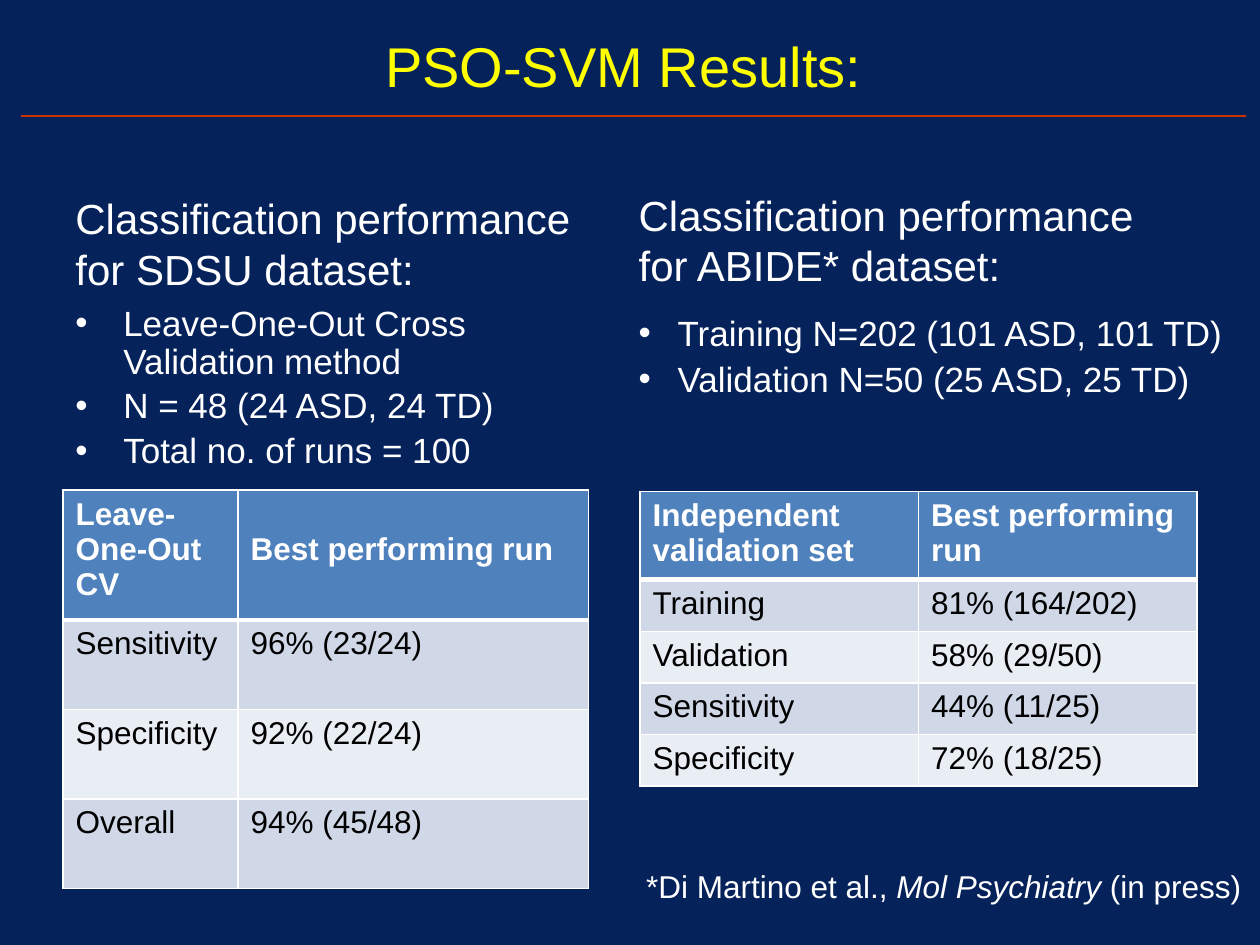
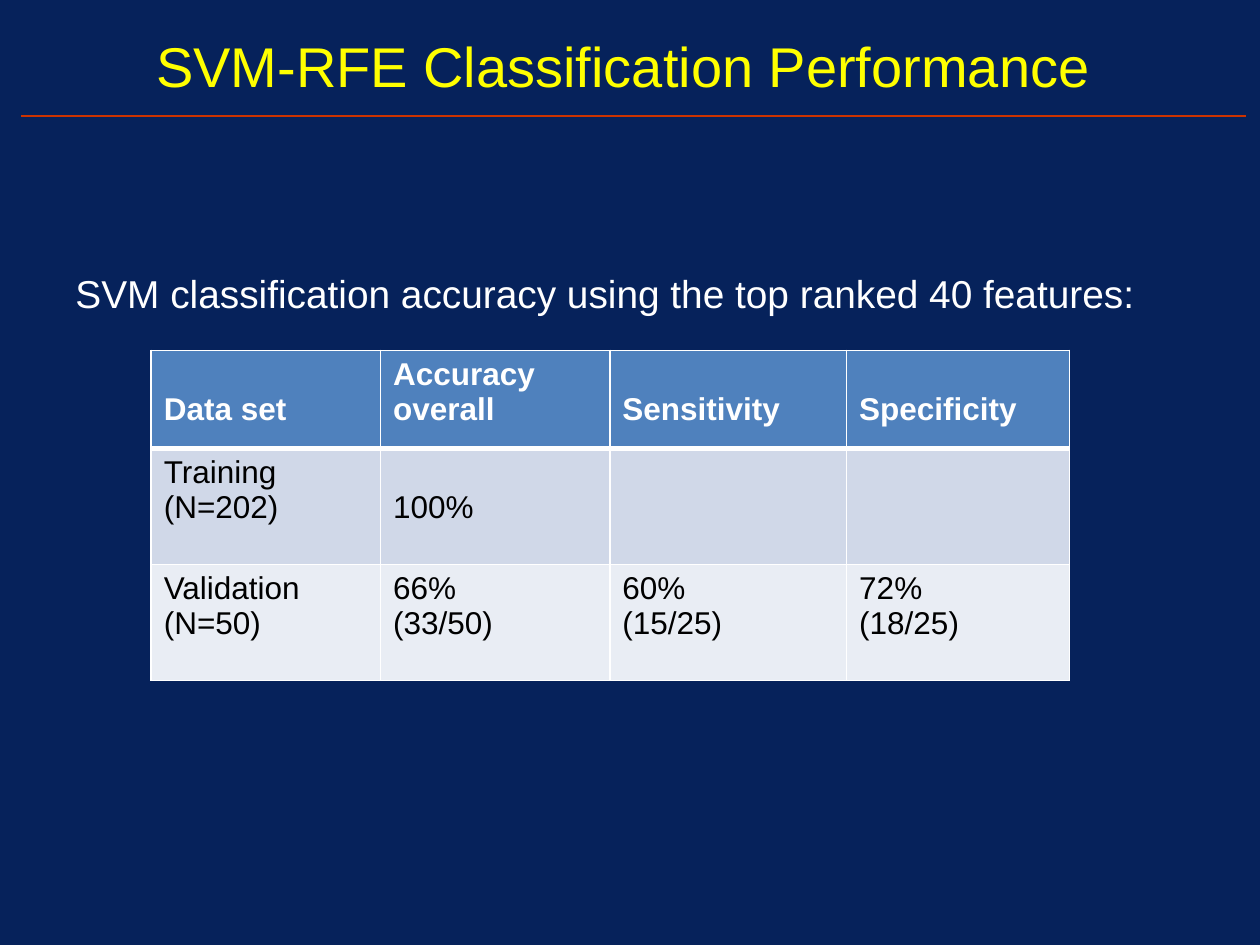
from dataclasses import dataclass

from lxml import etree
from pptx import Presentation
from pptx.dml.color import RGBColor
from pptx.enum.shapes import MSO_CONNECTOR
from pptx.enum.text import MSO_ANCHOR, MSO_AUTO_SIZE, PP_ALIGN
from pptx.oxml.ns import qn
from pptx.util import Inches, Pt


@dataclass(frozen=True)
class Theme:
    font: str = "Arial"
    background: str = "06225B"
    title: str = "FFFF00"
    text: str = "FFFFFF"
    rule: str = "CC3300"
    header: str = "4F81BD"
    bands: tuple = ("D0D8E8", "E9EDF4")
    cell_text: str = "000000"
    border: str = "FFFFFF"
    title_size: float = 32
    heading_size: float = 24
    lead_size: float = 22.2
    list_size: float = 20
    small_size: float = 18
    border_width: float = 1
    header_border_width: float = 3


def rgb(color):
    return RGBColor.from_string(color)


def set_bullet(paragraph, indent):
    properties = paragraph._p.get_or_add_pPr()
    properties.set("marL", str(Inches(indent)))
    properties.set("indent", str(-Inches(indent)))
    etree.SubElement(properties, qn("a:buFont"), typeface="Arial")
    etree.SubElement(properties, qn("a:buChar"), char="•")


class Deck:
    def __init__(self, theme):
        self.theme = theme
        self.presentation = Presentation()
        self.presentation.slide_width = Inches(10)
        self.presentation.slide_height = Inches(7.5)
        self.slide = None

    def add_slide(self, title):
        """Start a slide with the shared background, title and rule."""
        theme = self.theme
        blank = self.presentation.slide_layouts[6]
        self.slide = self.presentation.slides.add_slide(blank)
        fill = self.slide.background.fill
        fill.solid()
        fill.fore_color.rgb = rgb(theme.background)
        heading = self.add_text((0.24, 0.14, 9.54, 0.76), [title], theme.title_size,
                                color=theme.title, anchor=MSO_ANCHOR.MIDDLE)
        heading.paragraphs[0].alignment = PP_ALIGN.CENTER
        self.add_rule(0.17, 9.89, 0.92)

    def add_rule(self, left, right, y):
        rule = self.slide.shapes.add_connector(
            MSO_CONNECTOR.STRAIGHT, Inches(left), Inches(y), Inches(right), Inches(y))
        rule.line.color.rgb = rgb(self.theme.rule)
        rule.line.width = Pt(1)
        etree.SubElement(rule._element.spPr, qn("a:effectLst"))

    def format_runs(self, paragraph, size, color, bold=False):
        for run in paragraph.runs:
            run.font.name = self.theme.font
            run.font.size = Pt(size)
            run.font.bold = bold
            run.font.color.rgb = rgb(color)

    def add_text(self, box, lines, size, color=None, anchor=MSO_ANCHOR.TOP, wrap=True):
        frame = self.slide.shapes.add_textbox(*map(Inches, box)).text_frame
        frame.word_wrap = wrap
        frame.auto_size = MSO_AUTO_SIZE.NONE if wrap else MSO_AUTO_SIZE.SHAPE_TO_FIT_TEXT
        frame.vertical_anchor = anchor
        frame.text = "\n".join(lines)
        for paragraph in frame.paragraphs:
            self.format_runs(paragraph, size, color or self.theme.text)
        return frame

    def add_heading(self, box, text, size):
        self.add_text(box, [text], size, anchor=MSO_ANCHOR.BOTTOM)

    def add_list(self, box, items, indent, line_spacing, gap=0, wrap=True):
        frame = self.add_text(box, items, self.theme.list_size, wrap=wrap)
        for paragraph in frame.paragraphs:
            paragraph.line_spacing = line_spacing
            paragraph.space_before = Pt(gap)
            set_bullet(paragraph, indent)

    def add_citation(self, box, before, journal, after):
        frame = self.add_text(box, [before], self.theme.small_size, wrap=False)
        paragraph = frame.paragraphs[0]
        for part in (journal, after):
            paragraph.add_run().text = part
        self.format_runs(paragraph, self.theme.small_size, self.theme.text)
        paragraph.runs[1].font.italic = True

    def set_borders(self, cell, bottom_width):
        """Draw the four cell borders; they must precede the cell fill."""
        properties = cell._tc.get_or_add_tcPr()
        thin = self.theme.border_width
        widths = {"lnL": thin, "lnR": thin, "lnT": thin, "lnB": bottom_width}
        for position, (side, width) in enumerate(widths.items()):
            line = etree.Element(qn(f"a:{side}"), w=str(Pt(width)))
            fill = etree.SubElement(line, qn("a:solidFill"))
            etree.SubElement(fill, qn("a:srgbClr"), val=self.theme.border)
            properties.insert(position, line)

    def add_table(self, left, top, widths, heights, rows, lowered=()):
        """Add a banded table; lowered cells start one text line further down."""
        theme = self.theme
        table = self.slide.shapes.add_table(
            len(rows), len(widths), Inches(left), Inches(top),
            Inches(sum(widths)), Inches(sum(heights))).table
        for column, width in zip(table.columns, widths):
            column.width = Inches(width)
        for r, (values, height) in enumerate(zip(rows, heights)):
            table.rows[r].height = Inches(height)
            is_header = r == 0
            background = theme.header if is_header else theme.bands[(r - 1) % 2]
            color = theme.text if is_header else theme.cell_text
            for c, value in enumerate(values):
                cell = table.cell(r, c)
                cell.text_frame.text = value
                for paragraph in cell.text_frame.paragraphs:
                    self.format_runs(paragraph, theme.small_size, color, is_header)
                if (r, c) in lowered:
                    cell.margin_top = Inches(0.33)
                cell.fill.solid()
                cell.fill.fore_color.rgb = rgb(background)
                self.set_borders(cell, theme.header_border_width if is_header
                                 else theme.border_width)


def add_pso_results(deck):
    size = deck.theme.heading_size
    deck.add_slide("PSO-SVM Results: ")
    deck.add_heading((0.5, 1.68, 4.42, 0.7),
                     "Classification performance for SDSU dataset:", size)
    deck.add_list((0.5, 2.38, 4.42, 1.59),
                  ["Leave-One-Out Cross Validation method",
                   "N = 48 (24 ASD, 24 TD)",
                   "Total no. of runs = 100"],
                  indent=0.38, line_spacing=0.9, gap=4)
    deck.add_heading((4.97, 1.41, 4.42, 0.94),
                     "Classification performance for ABIDE* dataset:", size)
    deck.add_table(0.5, 3.89, [1.39, 2.78], [1.03] + [0.71] * 3,
                   [("Leave-One-Out CV", "Best performing run"),
                    ("Sensitivity", "96% (23/24)"),
                    ("Specificity", "92% (22/24)"),
                    ("Overall", "94% (45/48)")],
                   lowered={(0, 1)})
    deck.add_list((4.97, 2.39, 4.87, 0.84),
                  ["Training N=202 (101 ASD, 101 TD)",
                   "Validation N=50 (25 ASD, 25 TD)"],
                  indent=0.31, line_spacing=1.1, wrap=False)
    deck.add_table(5.08, 3.9, [2.21] * 2, [0.7] + [0.41] * 4,
                   [("Independent validation set", "Best performing run"),
                    ("Training", "81% (164/202)"),
                    ("Validation", "58% (29/50)"),
                    ("Sensitivity", "44% (11/25)"),
                    ("Specificity", "72% (18/25)")])
    deck.add_citation((5.03, 6.83, 4.97, 0.4),
                      "*Di Martino et al., ", "Mol Psychiatry", " (in press)")


def add_rfe_performance(deck):
    deck.add_slide("SVM-RFE Classification Performance ")
    deck.add_heading((0.5, 1.86, 8.69, 0.7),
                     "SVM classification accuracy using the top ranked 40 features:",
                     deck.theme.lead_size)
    deck.add_table(1.2, 2.78, [1.82, 1.82, 1.88, 1.77], [0.78, 0.92, 0.92],
                   [("Data set", "Accuracy\noverall", "Sensitivity", "Specificity"),
                    ("Training (N=202)", "100%", "", ""),
                    ("Validation (N=50)", "66%\n(33/50)", "60%\n(15/25)", "72%\n(18/25)")],
                   lowered={(0, 0), (0, 2), (0, 3), (1, 1)})


def main():
    deck = Deck(Theme())
    add_pso_results(deck)
    add_rfe_performance(deck)
    deck.presentation.save("out.pptx")


if __name__ == "__main__":
    main()
